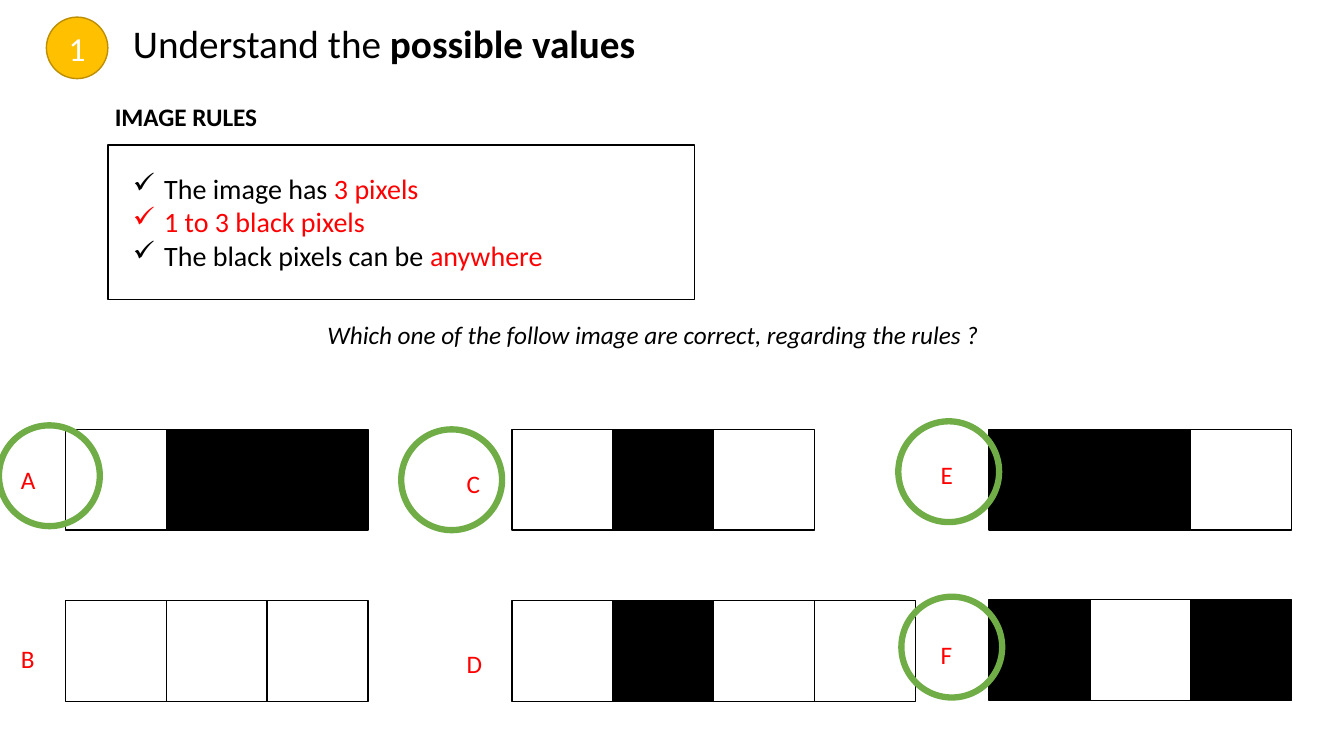
from lxml import etree
from pptx import Presentation
from pptx.dml.color import RGBColor
from pptx.enum.shapes import MSO_SHAPE
from pptx.enum.text import MSO_ANCHOR, PP_ALIGN
from pptx.oxml.ns import qn
from pptx.util import Inches, Pt

BLACK, WHITE, RED, GREEN = "000000", "FFFFFF", "FF0000", "70AD47"
GOLD, DARK_GOLD = "FFC000", "BD8E00"
PIXEL = 1  # side of one pixel square, in inches

prs = Presentation()
prs.slide_width, prs.slide_height = Inches(13.33), Inches(7.5)
slide = prs.slides.add_slide(prs.slide_layouts[6])


def draw(kind, box, fill, line, width=1):
    """Add a shape without shadow; fill None leaves it hollow."""
    shape = slide.shapes.add_shape(kind, *map(Inches, box))
    shape.shadow.inherit = False
    if fill:
        shape.fill.solid()
        shape.fill.fore_color.rgb = RGBColor.from_string(fill)
    else:
        shape.fill.background()
    shape.line.color.rgb = RGBColor.from_string(line)
    shape.line.width = Pt(width)
    return shape


def write(box, size, paragraphs, wrap=True, frame=None):
    """Fill a frame, or a new text box, with paragraphs of (text, colour, style) runs."""
    frame = frame or slide.shapes.add_textbox(*map(Inches, box)).text_frame
    frame.word_wrap = wrap
    for i, runs in enumerate(paragraphs):
        paragraph = frame.add_paragraph() if i else frame.paragraphs[0]
        for text, color, style in runs:
            run = paragraph.add_run()
            run.text = text
            run.font.name, run.font.size = "Calibri", Pt(size)
            run.font.color.rgb = RGBColor.from_string(color)
            run.font.bold, run.font.italic = style == "bold", style == "italic"
    return frame


# Candidate images: letter, left, top, pixels (1 = black), letter position
candidates = [
    ("A", 0.65, 4.26, "011", (0.11, 4.56)),
    ("B", 0.65, 5.96, "000", (0.11, 6.33)),
    ("C", 5.08, 4.26, "010", (4.53, 4.60)),
    ("D", 5.08, 5.96, "0100", (4.53, 6.38)),
    ("E", 9.81, 4.26, "110", (9.23, 4.51)),
    ("F", 9.81, 5.95, "101", (9.23, 6.29)),
]
for letter, left, top, pixels, (letter_x, letter_y) in candidates:
    for column, pixel in enumerate(pixels):
        draw(MSO_SHAPE.RECTANGLE, (left + column * PIXEL, top, PIXEL, PIXEL),
             BLACK if pixel == "1" else WHITE, BLACK)
    write((letter_x, letter_y, 0.35, 0.4), 18, [[(letter, RED, "")]])

# Rings around the correct answers A, C, E and F
for left, top in [(-0.01, 4.22), (3.98, 4.26), (8.91, 4.18), (8.94, 5.92)]:
    draw(MSO_SHAPE.OVAL, (left, top, PIXEL, PIXEL), None, GREEN, 4.5)

# Heading with its step number
write((1.22, 0.14, 5.45, 0.57), 28,
      [[("Understand the ", BLACK, ""), ("possible values", BLACK, "bold")]])
badge = draw(MSO_SHAPE.OVAL, (0.46, 0.17, 0.61, 0.61), GOLD, DARK_GOLD).text_frame
write(None, 24, [[("1", WHITE, "")]], frame=badge)
badge.vertical_anchor = MSO_ANCHOR.MIDDLE
badge.paragraphs[0].alignment = PP_ALIGN.CENTER

write((3.15, 3.12, 7.26, 0.4), 18,
      [[("Which one of the follow image are correct, regarding the rules ?", BLACK, "italic")]])

# Rules in their frame
rules = write((1.22, 1.65, 4.31, 1.11), 20, [
    [("The image has ", BLACK, ""), ("3 pixels", RED, "")],
    [("1 to 3 black pixels", RED, "")],
    [("The black pixels can be ", BLACK, ""), ("anywhere", RED, "")],
], wrap=False)
for paragraph in rules.paragraphs:
    properties = paragraph._p.get_or_add_pPr()
    properties.set("marL", str(Inches(0.31)))
    properties.set("indent", str(-Inches(0.31)))
    etree.SubElement(properties, qn("a:buChar")).set("char", "✓")
write((1.04, 0.96, 1.63, 0.4), 18, [[("IMAGE RULES", BLACK, "bold")]], wrap=False)
draw(MSO_SHAPE.RECTANGLE, (1.07, 1.44, 5.82, 1.53), None, BLACK)

prs.save("out.pptx")
